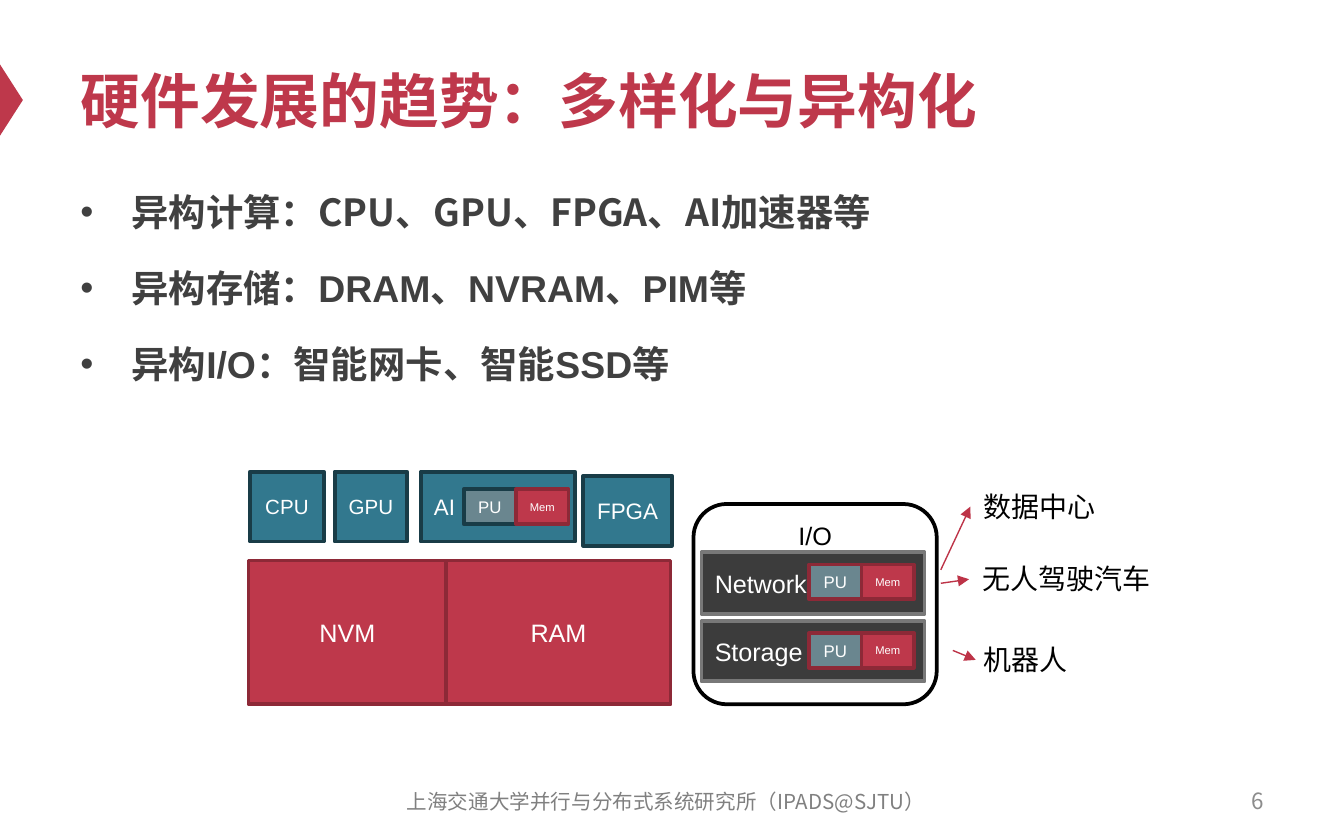
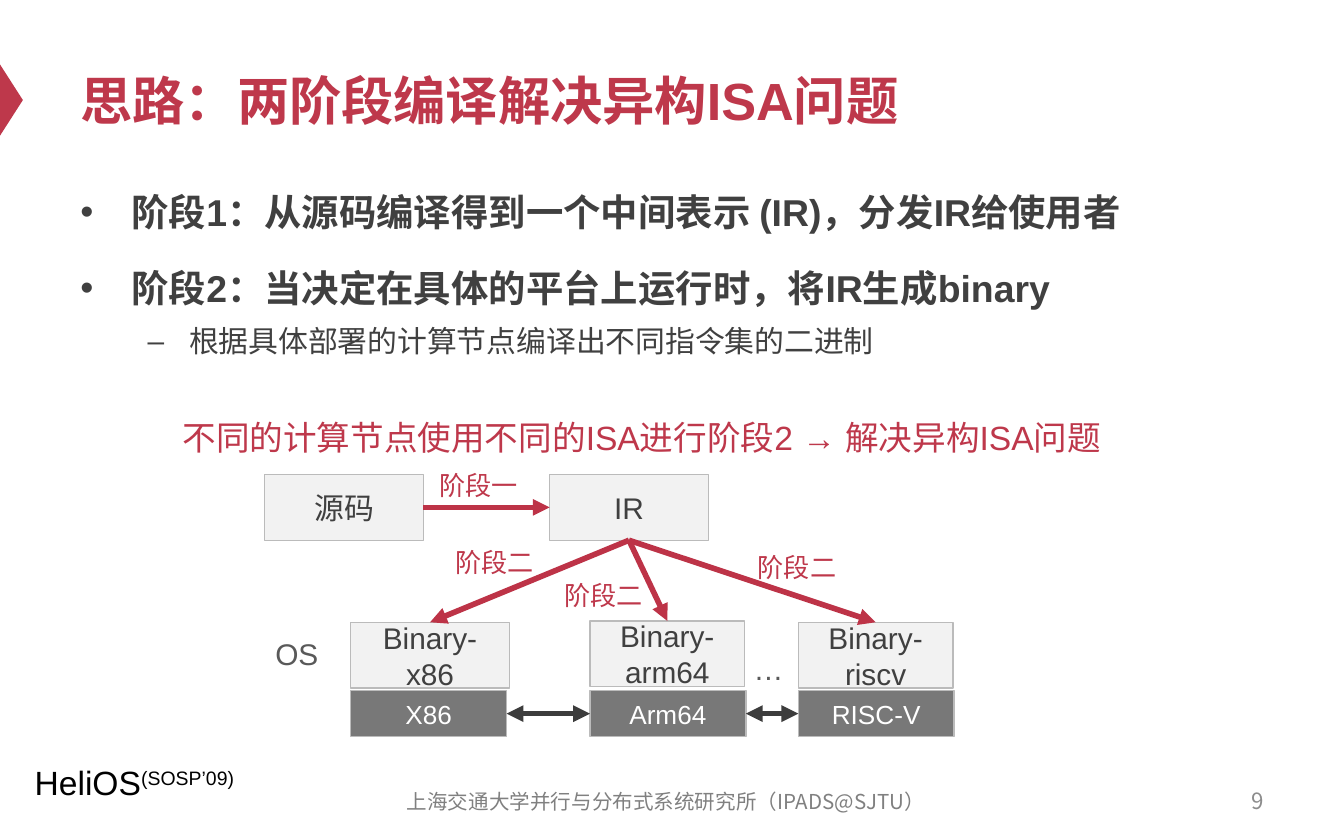
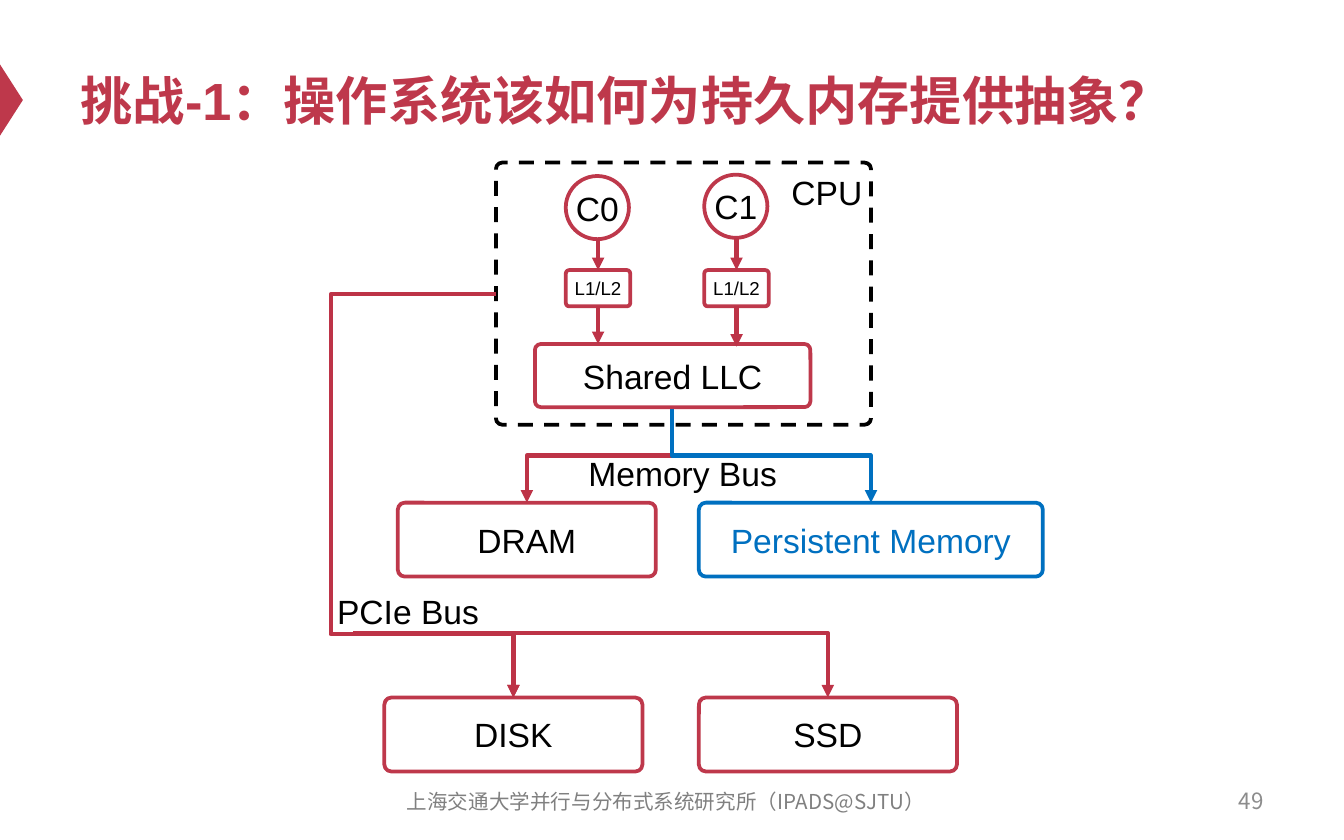
from lxml import etree
from pptx import Presentation
from pptx import util as u
from pptx.dml.color import RGBColor
from pptx.enum import dml, shapes, text
from pptx.oxml.ns import qn

COLORS = {
    "red": "BE384B", "arrow": "BD3347", "dark_red": "8D2937",
    "teal": "32788E", "dark_teal": "193C47", "slate": "6A868F",
    "charcoal": "3C3C3C", "gray": "787878", "pale": "F2F2F2", "border": "BBBBBB",
    "body": "404040", "caption": "595959", "footer": "808080", "number": "8C8C8C",
    "blue": "0070C0", "black": "000000", "white": "FFFFFF",
}
LATIN, CJK = "Arial", "Noto Sans CJK SC"
FOOTER = "上海交通大学并行与分布式系统研究所（IPADS@SJTU）"
KIND = shapes.MSO_SHAPE
LEFT, CENTER, RIGHT = text.PP_ALIGN.LEFT, text.PP_ALIGN.CENTER, text.PP_ALIGN.RIGHT
TOP, MIDDLE = text.MSO_ANCHOR.TOP, text.MSO_ANCHOR.MIDDLE


def rgb(name):
    return RGBColor.from_string(COLORS[name])


def inches(*values):
    return [u.Inches(value) for value in values]


# Text
def add_run(paragraph, words, size, color, bold=False, font=LATIN, baseline=0):
    run = paragraph.add_run()
    run.text = words
    run.font.size, run.font.bold, run.font.name = u.Pt(size), bold, font
    run.font.color.rgb = rgb(color)
    props = run.font._element
    etree.SubElement(props, qn("a:ea"), typeface=CJK)
    if baseline:
        props.set("baseline", str(baseline * 1000))


def label(slide, x, y, w, words, size, color="black", h=0.4, align=LEFT,
          anchor=TOP, font=LATIN, wrap=False):
    frame = slide.shapes.add_textbox(*inches(x, y, w, h)).text_frame
    frame.word_wrap, frame.vertical_anchor = wrap, anchor
    paragraph = frame.paragraphs[0]
    paragraph.alignment = align
    add_run(paragraph, words, size, color, font=font)
    return paragraph


# Shapes and lines
def block(slide, x, y, w, h, words="", size=18, fill=None, line=None, ink="white",
          width=2, kind=KIND.RECTANGLE, corner=None, align=CENTER, anchor=MIDDLE,
          wrap=True):
    shape = slide.shapes.add_shape(kind, *inches(x, y, w, h))
    shape.shadow.inherit = False
    if fill:
        shape.fill.solid()
        shape.fill.fore_color.rgb = rgb(fill)
    else:
        shape.fill.background()
    if line:
        shape.line.color.rgb, shape.line.width = rgb(line), u.Pt(width)
    else:
        shape.line.fill.background()
    if corner is not None:
        shape.adjustments[0] = corner
    if words:
        frame = shape.text_frame
        frame.word_wrap, frame.vertical_anchor = wrap, anchor
        frame.paragraphs[0].alignment = align
        add_run(frame.paragraphs[0], words, size, ink)
    return shape


def style_line(connector, color, width, both=False):
    connector.line.color.rgb, connector.line.width = rgb(color), u.Pt(width)
    outline = connector.line._get_or_add_ln()
    for end in ("a:headEnd", "a:tailEnd")[0 if both else 1:]:
        etree.SubElement(outline, qn(end), type="triangle")
    etree.SubElement(connector._element.spPr, qn("a:effectLst"))


def arrow(slide, start=(0, 0), end=(0, 0), color="arrow", width=2.25, both=False,
          begin_at=None, end_at=None):
    """Straight arrow; begin_at and end_at are (shape, side) pairs."""
    connector = slide.shapes.add_connector(
        shapes.MSO_CONNECTOR.STRAIGHT, *inches(*start, *end))
    if begin_at:
        connector.begin_connect(*begin_at)
    if end_at:
        connector.end_connect(*end_at)
    style_line(connector, color, width, both)


def elbow(slide, start, end, bends, color="arrow", adjust=(), downward=False):
    """Bent arrow; downward makes it leave its start vertically."""
    (x1, y1), (x2, y2) = start, end
    if downward:
        middle_x, middle_y = (x1 + x2) / 2, (y1 + y2) / 2
        long, wide = (y2 - y1) / 2, abs(x2 - x1) / 2
        corners = (middle_x - long, middle_y - wide, middle_x + long, middle_y + wide)
    else:
        corners = (x1, y1, x2, y2)
    connector = slide.shapes.add_connector(shapes.MSO_CONNECTOR.ELBOW, *inches(*corners))
    props = connector._element.spPr
    if downward:
        frame = props.find(qn("a:xfrm"))
        frame.set("rot", str((90 if x2 < x1 else 270) * 60000))
        if x2 > x1:
            frame.set("flipH", "1")
    geometry = props.find(qn("a:prstGeom"))
    geometry.set("prst", f"bentConnector{bends + 1}")
    for number, share in enumerate(adjust, 1):
        etree.SubElement(geometry.find(qn("a:avLst")), qn("a:gd"),
                         name=f"adj{number}", fmla=f"val {round(share * 100000)}")
    style_line(connector, color, 2.25)


# Parts shared by all slides
def new_slide(deck, heading, size, number):
    slide = deck.slides.add_slide(deck.slide_layouts[5])
    marker = block(slide, -0.18, 0.66, 0.53, 0.17, fill="red",
                   kind=KIND.ISOSCELES_TRIANGLE)
    marker.rotation = 90
    title = slide.shapes.title
    title.left, title.top, title.width, title.height = inches(0.5, 0.25, 9, 0.98)
    title.text_frame.vertical_anchor = MIDDLE
    paragraph = title.text_frame.paragraphs[0]
    paragraph.alignment = LEFT
    add_run(paragraph, heading, size, "red", bold=True)
    label(slide, 7.17, 5.79, 2.33, number, 12, "number", 0.33, RIGHT, MIDDLE, CJK, True)
    label(slide, 2.79, 5.8, 4.33, FOOTER, 11, "footer", 0.33, CENTER, MIDDLE, CJK, True)
    return slide


def bullets(slide, x, y, w, h, items):
    """Items are (level, words, font)."""
    frame = slide.shapes.add_textbox(*inches(x, y, w, h)).text_frame
    frame.word_wrap = True
    levels = [("•", 0.38, 0.38, 20, 12), ("–", 0.81, 0.31, 16, 3.2)]
    for index, (level, words, font) in enumerate(items):
        mark, margin, hang, size, gap = levels[level]
        paragraph = frame.add_paragraph() if index else frame.paragraphs[0]
        paragraph.level, paragraph.line_spacing = level, 1.2
        if index:
            paragraph.space_before = u.Pt(gap)
        props = paragraph._p.get_or_add_pPr()
        props.set("marL", str(u.Inches(margin)))
        props.set("indent", str(-u.Inches(hang)))
        etree.SubElement(props, qn("a:buFont"), typeface=LATIN)
        etree.SubElement(props, qn("a:buChar"), char=mark)
        add_run(paragraph, words, size, "body", bold=level == 0, font=font)


# Slide 1: heterogeneous hardware
def chip_pair(slide, x, y, unit_line):
    block(slide, x, y, 0.39, 0.26, "PU", 9, "slate", unit_line, wrap=False)
    block(slide, x + 0.39, y, 0.39, 0.26, "Mem", 6, "red", "dark_red", wrap=False)


def compute_and_memory(slide, x, y):
    for dx, dy, w, name, size in [(0.01, 0, 0.55, "CPU", 11), (0.64, 0, 0.54, "GPU", 11),
                                  (1.28, 0, 1.15, "AI", 12), (2.49, 0.03, 0.66, "FPGA", 12)]:
        has_chips = name == "AI"
        block(slide, x + dx, y + dy, w, 0.52, name, size, "teal", "dark_teal",
              align=LEFT if has_chips else CENTER, wrap=has_chips)
    for dx, w, name in [(1.47, 1.67, "RAM"), (0, 1.47, "NVM")]:
        block(slide, x + dx, y + 0.66, w, 1.07, name, 13.5, "red", "dark_red")
    chip_pair(slide, x + 1.6, y + 0.13, "dark_teal")


def io_devices(slide, x, y):
    for dy, h, chip_dy, name in [(0.87, 0.45, 0.96, "Storage"), (0.36, 0.46, 0.45, "Network")]:
        block(slide, x + 0.06, y + dy, 1.66, h, name, 13.5, "charcoal", "gray", align=LEFT)
        chip_pair(slide, x + 0.86, y + chip_dy, "dark_red")
    block(slide, x, y, 1.81, 1.49, "I/O", 13.5, line="black", ink="black",
          kind=KIND.ROUNDED_RECTANGLE, anchor=TOP)


def scenarios(slide, x, y):
    for dx, dy, w, name, start, end in [
            (0.22, 0, 1.04, "数据中心", (0, 0.65), (0.22, 0.18)),
            (0.21, 0.54, 1.47, "无人驾驶汽车", (0, 0.75), (0.21, 0.72)),
            (0.22, 1.14, 0.85, "机器人", (0.09, 1.25), (0.26, 1.32))]:
        label(slide, x + dx, y + dy, w, name, 15, h=0.35)
        arrow(slide, (x + start[0], y + start[1]), (x + end[0], y + end[1]), width=0.75)


def hardware_slide(deck):
    slide = new_slide(deck, "硬件发展的趋势：多样化与异构化", 32, "6")
    compute_and_memory(slide, 1.85, 3.51)
    io_devices(slide, 5.16, 3.75)
    scenarios(slide, 7, 3.59)
    bullets(slide, 0.5, 1.29, 9.07, 3.35, [
        (0, "异构计算：CPU、GPU、FPGA、AI加速器等", CJK),
        (0, "异构存储：DRAM、NVRAM、PIM等", LATIN),
        (0, "异构I/O：智能网卡、智能SSD等", LATIN)])


# Slide 2: two-stage compilation
def compile_flow(slide, x, y):
    def code(dx, dy, w, name):
        return block(slide, x + dx, y + dy, w, 0.49, name, 16, "pale", "border", "body", 0.75)

    source = code(0.02, 0, 1.18, "源码")
    ir = code(2.14, 0, 1.18, "IR")
    arrow(slide, width=3, begin_at=(source, 3), end_at=(ir, 1))

    previous = None
    for dx, dy, w, binary_name, machine_name in [
            (0.66, 1.1, 1.18, "Binary-x86", "X86"),
            (2.44, 1.09, 1.15, "Binary-arm64", "Arm64"),
            (3.99, 1.1, 1.15, "Binary-riscv", "RISC-V")]:
        binary = code(dx, dy, w, binary_name)
        machine = block(slide, x + dx, y + 1.61, 1.16, 0.34, machine_name, 14,
                        "gray", "border", width=0.75)
        arrow(slide, width=3, begin_at=(ir, 2), end_at=(binary, 0))
        if previous:
            arrow(slide, color="charcoal", width=3, both=True,
                  begin_at=(previous, 3), end_at=(machine, 1))
        previous = machine

    for dx, dy, w, name in [(3.56, 1.26, 0.43, "…"), (0, 1.15, 0.53, "OS")]:
        label(slide, x + dx, y + dy, w, name, 16, "caption", 0.37)
    for dx, dy, stage in [(1.22, -0.09, "阶段一"), (1.34, 0.49, "阶段二"),
                          (2.15, 0.73, "阶段二"), (3.59, 0.52, "阶段二")]:
        label(slide, x + dx, y + dy, 0.79, stage, 14, "red", 0.34)


def compile_slide(deck):
    slide = new_slide(deck, "思路：两阶段编译解决异构ISA问题", 28, "9")
    bullets(slide, 0.5, 1.29, 9.07, 2.3, [
        (0, "阶段1：从源码编译得到一个中间表示 (IR)，分发IR给使用者", LATIN),
        (0, "阶段2：当决定在具体的平台上运行时，将IR生成binary", LATIN),
        (1, "根据具体部署的计算节点编译出不同指令集的二进制", LATIN)])
    label(slide, 1.26, 3.05, 7.48, "不同的计算节点使用不同的ISA进行阶段2 → 解决异构ISA问题",
          18, "red", wrap=True)
    compile_flow(slide, 1.95, 3.53)
    system = label(slide, 0.16, 5.62, 1.8, "HeliOS", 18)
    add_run(system, "(SOSP’09)", 18, "black", baseline=30)


# Slide 3: persistent memory
def part(slide, x, y, w, h, name, size=18, line="red", ink="black", wrap=True):
    return block(slide, x, y, w, h, name, size, "white", line, ink,
                 kind=KIND.ROUNDED_RECTANGLE, corner=0.095, wrap=wrap)


def processor(slide, x, y):
    part(slide, x + 0.29, y + 1.35, 2.05, 0.47, "Shared LLC")
    for dx, dy, core, reach in [(0.52, 0.1, "C0", 1.35), (1.55, 0.09, "C1", 1.37)]:
        block(slide, x + dx, y + dy, 0.47, 0.47, core, 18, "white", "red", "black",
              kind=KIND.OVAL, wrap=False)
        cache = part(slide, x + dx, y + 0.8, 0.48, 0.27, "L1/L2", 10, wrap=False)
        middle = x + dx + 0.24
        arrow(slide, (middle, y + dy + 0.47), end_at=(cache, 0))
        arrow(slide, end=(middle, y + reach), begin_at=(cache, 2))
    package = block(slide, x, y, 2.79, 1.95, line="black",
                    kind=KIND.ROUNDED_RECTANGLE, corner=0.024)
    package.line.dash_style = dml.MSO_LINE.DASH
    label(slide, x + 2.1, y + 0.02, 0.73, "CPU", 18)


def memory_bus(slide, x, y):
    part(slide, x, y + 0.7, 1.92, 0.55, "DRAM")
    part(slide, x + 2.24, y + 0.7, 2.56, 0.55, "Persistent Memory", line="blue", ink="blue")
    for dx, color in [(0.96, "arrow"), (3.52, "blue")]:
        elbow(slide, (x + 2.04, y), (x + dx, y + 0.7), 2, color, [0.5], downward=True)
    label(slide, x + 1.32, y + 0.28, 1.62, "Memory Bus", 18)


def pcie_bus(slide, x, y):
    part(slide, x + 0.4, y + 3, 1.92, 0.55, "DISK")
    part(slide, x + 2.74, y + 3, 1.92, 0.55, "SSD")
    disk, ssd = (x + 1.36, y + 3), (x + 3.7, y + 3)
    port = (x + 1.23, y)
    elbow(slide, port, disk, 3, adjust=[-1.23 / 0.13, 2.53 / 3])
    for drive in (disk, ssd):
        elbow(slide, (x + 0.17, y + 2.52), drive, 1)
    label(slide, x - 0.05, y + 2.16, 1.27, "PCIe Bus", 18)


def memory_slide(deck):
    slide = new_slide(deck, "挑战-1：操作系统该如何为持久内存提供抽象？", 28, "49")
    processor(slide, 3.69, 1.21)
    memory_bus(slide, 2.96, 3.04)
    pcie_bus(slide, 2.46, 2.19)


def main():
    deck = Presentation()
    deck.slide_width, deck.slide_height = inches(10, 6.25)
    hardware_slide(deck)
    compile_slide(deck)
    memory_slide(deck)
    deck.save("out.pptx")


if __name__ == "__main__":
    main()
